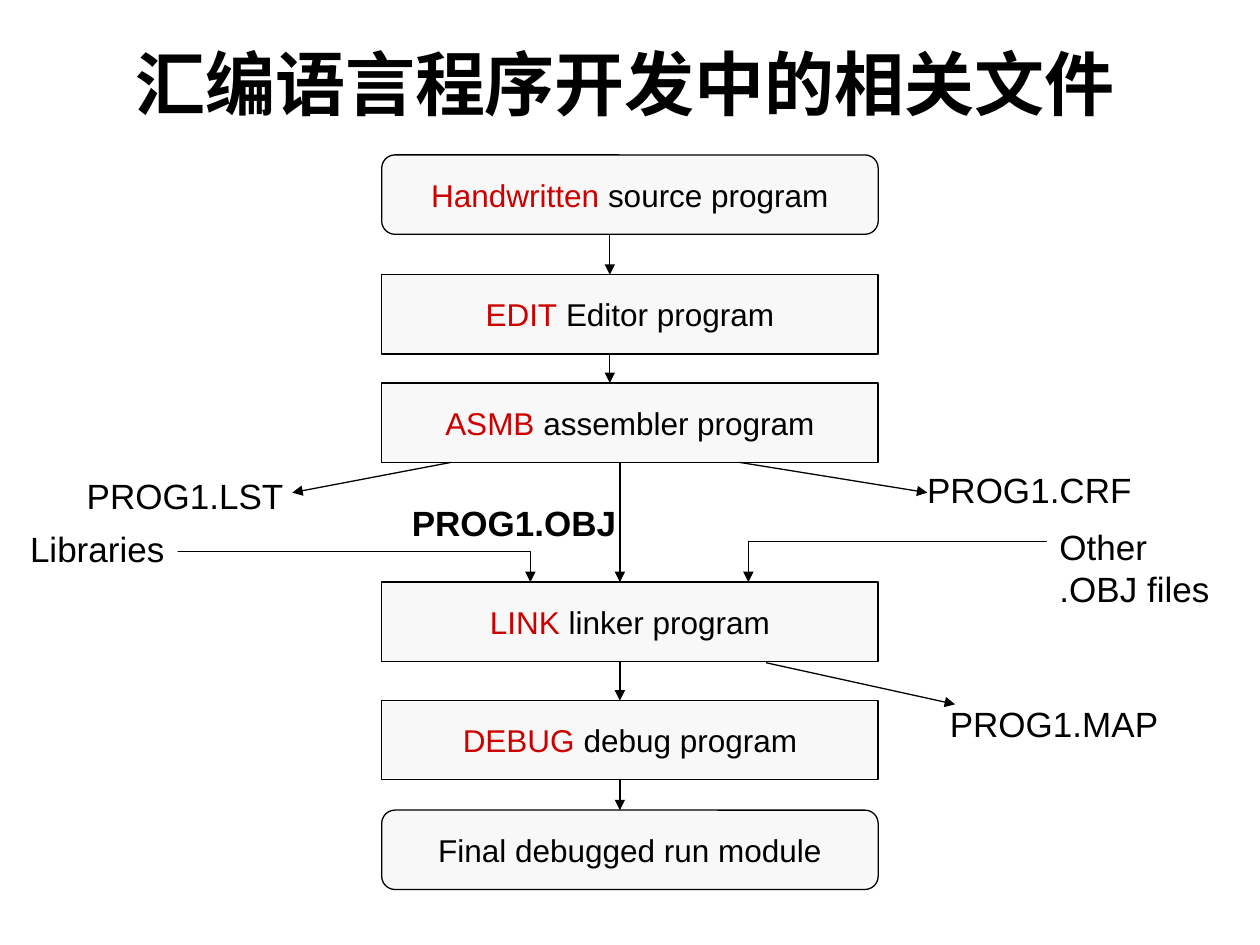
from dataclasses import dataclass

from lxml.etree import SubElement
from pptx import Presentation
from pptx.dml.color import RGBColor
from pptx.enum.shapes import MSO_CONNECTOR, MSO_SHAPE
from pptx.enum.text import MSO_ANCHOR, MSO_AUTO_SIZE, PP_ALIGN
from pptx.oxml.ns import qn
from pptx.util import Emu, Pt

PX = 9144  # 100 px to the inch
BLACK = RGBColor(0x00, 0x00, 0x00)
RED = RGBColor(0xCC, 0x00, 0x00)
WHITE = RGBColor(0xFF, 0xFF, 0xFF)
PALE_GREY = RGBColor(0xF8, 0xF8, 0xF8)
LINE_WIDTH = Pt(0.75)
STEP_LEFT, STEP_WIDTH, STEP_HEIGHT = 303, 394, 63


@dataclass
class Step:
    top: int
    tool: str
    rest: str
    rounded: bool = False

    @property
    def bottom(self) -> int:
        return self.top + STEP_HEIGHT


@dataclass
class Label:
    lines: tuple
    left: int
    top: int
    width: int
    height: int = 43
    bold: bool = False
    filled: bool = False
    wrap: bool = False


HANDWRITTEN = Step(123, "Handwritten", " source program", rounded=True)
EDITOR = Step(218, "EDIT", " Editor program")
ASSEMBLER = Step(304, "ASMB", " assembler program")
LINKER = Step(462, "LINK", " linker program")
DEBUGGER = Step(556, "DEBUG", " debug program")
RUN_MODULE = Step(643, "", "Final debugged run module", rounded=True)
STEPS = [HANDWRITTEN, EDITOR, ASSEMBLER, LINKER, DEBUGGER, RUN_MODULE]
FLOW_X = [484, 484, 492, 492, 492]

SIDE_ARROWS = [
    ((587, ASSEMBLER.bottom), (736, 391)),
    ((358, ASSEMBLER.bottom), (232, 391)),
    ((608, 526), (758, 559)),
]
ELBOWS = [
    [(98, 438), (421, 438), (421, LINKER.top)],
    [(878, 430), (594, 430), (594, LINKER.top)],
]
LABELS = [
    Label(("PROG1.LST",), 59, 372, 176),
    Label(("PROG1.OBJ",), 317, 393, 336, bold=True, wrap=True),
    Label(("PROG1.CRF",), 726, 367, 184),
    Label(("Other", ".OBJ files"), 831, 412, 139, height=77, filled=True),
    Label(("Libraries",), 14, 414, 127, filled=True),
    Label(("PROG1.MAP",), 744, 553, 187),
]


def px(*lengths: int) -> list:
    return [Emu(length * PX) for length in lengths]


def write(shape, lines, *, size, align=PP_ALIGN.LEFT, anchor=MSO_ANCHOR.TOP,
          bold=False, wrap=False, grow=False) -> None:
    """Fill a shape with lines, each a list of (text, colour) spans."""
    frame = shape.text_frame
    frame.word_wrap = wrap
    frame.vertical_anchor = anchor
    if grow:
        frame.auto_size = MSO_AUTO_SIZE.SHAPE_TO_FIT_TEXT
    for index, spans in enumerate(lines):
        para = frame.add_paragraph() if index else frame.paragraphs[0]
        para.alignment = align
        for text, colour in spans:
            span = para.add_run()
            span.text = text
            span.font.name = "Arial"
            span.font.size = Pt(size)
            span.font.bold = bold
            span.font.color.rgb = colour


def style_line(line, arrow: bool = False) -> None:
    line.color.rgb = BLACK
    line.width = LINE_WIDTH
    if arrow:
        SubElement(line._get_or_add_ln(), qn("a:tailEnd"), type="triangle")


def add_title(slide, text: str) -> None:
    box = slide.shapes.add_textbox(*px(43, 26, 906, 79))
    write(box, [[(text, BLACK)]], size=40, bold=True, wrap=True,
          align=PP_ALIGN.CENTER, anchor=MSO_ANCHOR.MIDDLE)


def add_step(slide, step: Step) -> None:
    kind = MSO_SHAPE.ROUNDED_RECTANGLE if step.rounded else MSO_SHAPE.RECTANGLE
    box = slide.shapes.add_shape(
        kind, *px(STEP_LEFT, step.top, STEP_WIDTH, STEP_HEIGHT))
    box.shadow.inherit = False
    box.fill.solid()
    box.fill.fore_color.rgb = PALE_GREY
    style_line(box.line)
    spans = [(step.tool, RED)] if step.tool else []
    write(box, [spans + [(step.rest, BLACK)]], size=18,
          align=PP_ALIGN.CENTER, anchor=MSO_ANCHOR.MIDDLE)


def add_arrow(slide, start: tuple, end: tuple) -> None:
    arrow = slide.shapes.add_connector(
        MSO_CONNECTOR.STRAIGHT, *px(*start, *end))
    style_line(arrow.line, arrow=True)
    SubElement(arrow._element.spPr, qn("a:effectLst"))


def add_elbow(slide, points: list) -> None:
    start, *others = points
    builder = slide.shapes.build_freeform(*start, scale=PX)
    builder.add_line_segments(others, close=False)
    elbow = builder.convert_to_shape()
    elbow.shadow.inherit = False
    elbow.fill.background()
    style_line(elbow.line, arrow=True)


def add_label(slide, label: Label) -> None:
    box = slide.shapes.add_textbox(
        *px(label.left, label.top, label.width, label.height))
    if label.filled:
        box.fill.solid()
        box.fill.fore_color.rgb = WHITE
    write(box, [[(line, BLACK)] for line in label.lines], size=20,
          bold=label.bold, wrap=label.wrap, grow=True)


def main() -> None:
    deck = Presentation()
    deck.slide_width, deck.slide_height = px(1000, 750)
    slide = deck.slides.add_slide(deck.slide_layouts[6])
    add_title(slide, "汇编语言程序开发中的相关文件")
    for step in STEPS:
        add_step(slide, step)
    for x, above, below in zip(FLOW_X, STEPS, STEPS[1:]):
        add_arrow(slide, (x, above.bottom), (x, below.top))
    for start, end in SIDE_ARROWS:
        add_arrow(slide, start, end)
    for points in ELBOWS:
        add_elbow(slide, points)
    for label in LABELS:
        add_label(slide, label)
    deck.save("out.pptx")


if __name__ == "__main__":
    main()
